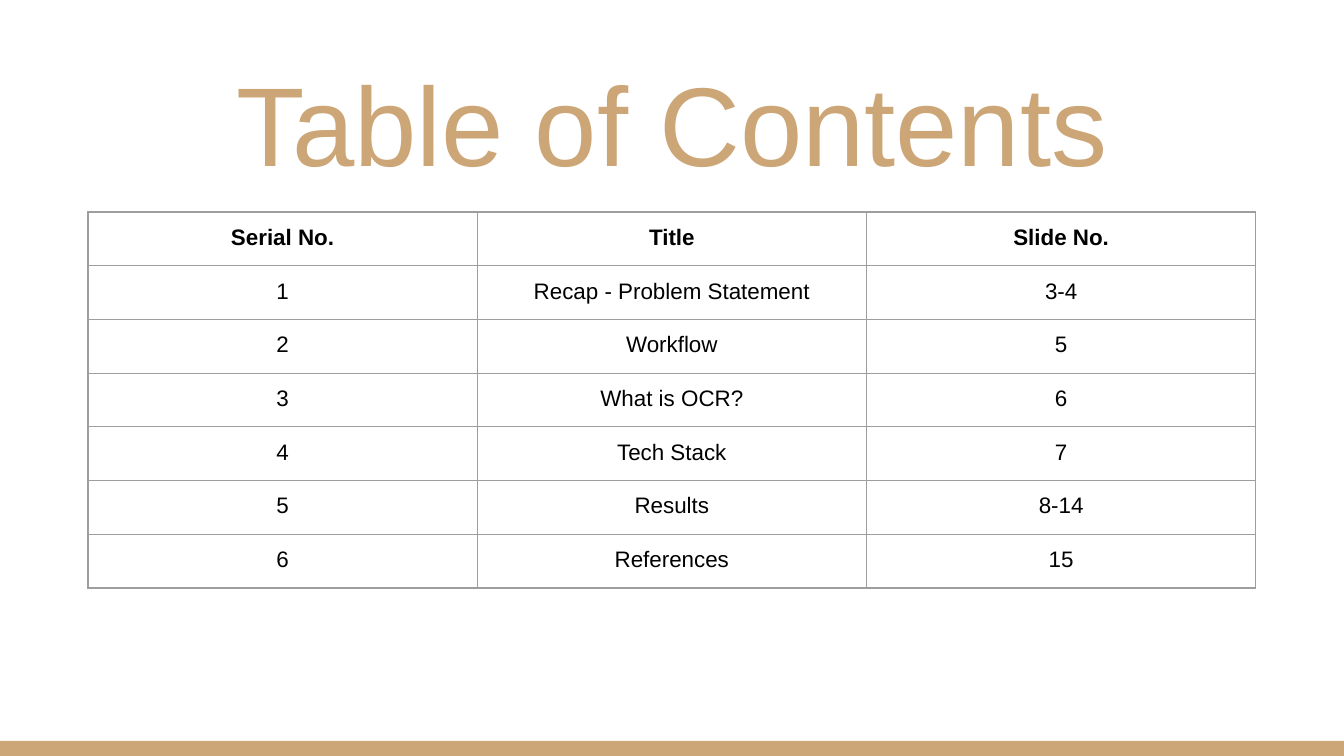
"""Build a table of contents slide."""
from lxml.etree import SubElement
from pptx import Presentation
from pptx.dml.color import RGBColor
from pptx.enum.shapes import MSO_SHAPE
from pptx.enum.text import MSO_ANCHOR, PP_ALIGN
from pptx.oxml.ns import qn
from pptx.util import Pt

EMU_PER_PX = 914400 / 134.4
PAGE_WIDTH, PAGE_HEIGHT = 1344, 756
BAR_HEIGHT = 15
INSET = 13
FONT = "Arial"
TAN = RGBColor(0xCC, 0xA6, 0x77)
BLACK = RGBColor(0x00, 0x00, 0x00)
GREY = RGBColor(0x9E, 0x9E, 0x9E)

CONTENTS = [
    ("Serial No.", "Title", "Slide No."),
    ("1", "Recap - Problem Statement", "3-4"),
    ("2", "Workflow", "5"),
    ("3", "What is OCR?", "6"),
    ("4", "Tech Stack", "7"),
    ("5", "Results", "8-14"),
    ("6", "References", "15"),
]


def px(length):
    """Turn pixels into EMU."""
    return round(length * EMU_PER_PX)


def write_text(frame, text, *, size, color, bold=False):
    """Write one centred line into a text frame."""
    frame.word_wrap = True
    para = frame.paragraphs[0]
    para.alignment = PP_ALIGN.CENTER
    span = para.add_run()
    span.text = text
    span.font.name = FONT
    span.font.size = Pt(size)
    span.font.bold = bold
    span.font.color.rgb = color


def set_insets(holder):
    """Give a text frame or table cell the same inset on every side."""
    holder.margin_left = holder.margin_right = px(INSET)
    holder.margin_top = holder.margin_bottom = px(INSET)


def add_borders(cell, color, width):
    """Draw a solid line on all four sides of a cell."""
    properties = cell._tc.get_or_add_tcPr()
    for position, side in enumerate(("a:lnL", "a:lnR", "a:lnT", "a:lnB")):
        line = SubElement(properties, qn(side), w=str(Pt(width)))
        fill = SubElement(line, qn("a:solidFill"))
        SubElement(fill, qn("a:srgbClr"), val=str(color))
        properties.insert(position, line)


def add_bar(page, left, top, width, height):
    """Place the coloured footer bar."""
    bar = page.shapes.add_shape(
        MSO_SHAPE.RECTANGLE, px(left), px(top), px(width), px(height)
    )
    bar.shadow.inherit = False
    bar.fill.solid()
    bar.fill.fore_color.rgb = TAN
    bar.line.fill.background()


def add_title(page, left, top, width, height):
    """Place the slide title."""
    box = page.shapes.add_textbox(px(left), px(top), px(width), px(height))
    frame = box.text_frame
    frame.vertical_anchor = MSO_ANCHOR.MIDDLE
    set_insets(frame)
    write_text(frame, "Table of Contents", size=60, color=TAN)


def add_contents(page, left, top, width, height):
    """Place the contents table with equal rows and columns."""
    table = page.shapes.add_table(
        len(CONTENTS), len(CONTENTS[0]), px(left), px(top), px(width), px(height)
    ).table
    table.horz_banding = False
    for row_index, entries in enumerate(CONTENTS):
        for column_index, text in enumerate(entries):
            cell = table.cell(row_index, column_index)
            cell.fill.background()
            set_insets(cell)
            add_borders(cell, GREY, 0.75)
            write_text(
                cell.text_frame, text, size=12, color=BLACK, bold=row_index == 0
            )


def main():
    """Build and save the deck."""
    deck = Presentation()
    deck.slide_width, deck.slide_height = px(PAGE_WIDTH), px(PAGE_HEIGHT)
    page = deck.slides.add_slide(deck.slide_layouts[6])
    add_bar(page, 0, PAGE_HEIGHT - BAR_HEIGHT, PAGE_WIDTH, BAR_HEIGHT)
    add_title(page, 46, 40, 1252, 163)
    add_contents(page, 88, 212, 1168, 376)
    deck.save("out.pptx")


if __name__ == "__main__":
    main()
